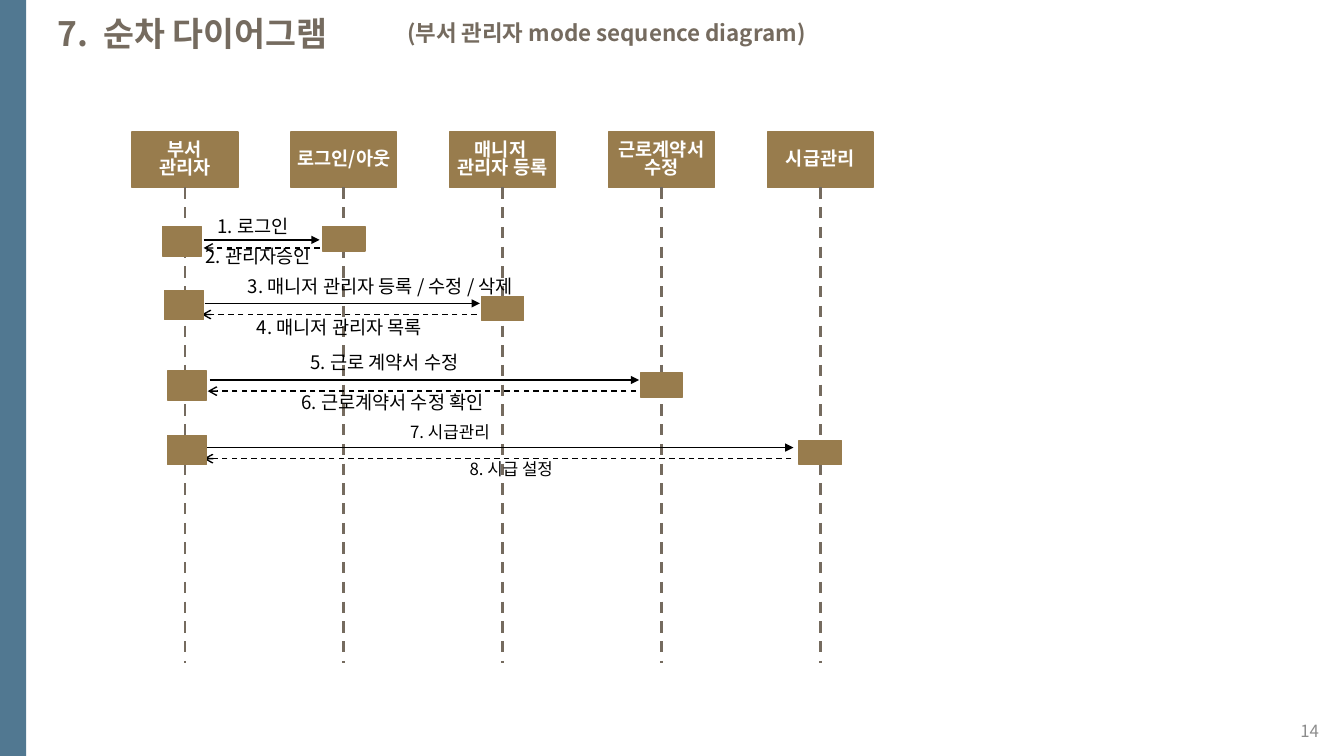
from lxml import etree
from pptx import Presentation
from pptx.dml.color import RGBColor
from pptx.enum import dml, shapes, text
from pptx.oxml import ns
from pptx.util import Inches, Pt

FONT = "Noto Sans CJK KR"
BROWN = RGBColor(0x98, 0x7C, 0x4D)
TAUPE = RGBColor(0x75, 0x6B, 0x5F)
BLUE = RGBColor(0x51, 0x78, 0x91)
GRAY = RGBColor(0x8C, 0x8C, 0x8C)
BLACK = RGBColor(0, 0, 0)
WHITE = RGBColor(0xFF, 0xFF, 0xFF)

PARTICIPANTS = [["부서", "관리자"], ["로그인/아웃"], ["매니저 ", "관리자 등록"],
                ["근로계약서 수정"], ["시급관리"]]
# One exchange per participant after the first:
# sender (left, top), receiver top, call (from x, to x, y), reply (from x, to x, y)
EXCHANGES = [
    ((1.61, 2.25), 2.25, (2.02, 3.17, 2.38), (3.17, 2.02, 2.46)),
    ((1.63, 2.88), 2.94, (2.03, 4.76, 3.01), (4.73, 2.00, 3.12)),
    ((1.66, 3.68), 3.70, (2.08, 6.34, 3.77), (6.31, 2.06, 3.88)),
    ((1.66, 4.32), 4.37, (2.05, 7.87, 4.44), (7.85, 2.02, 4.55)),
]
# text, (left, top, width, height), size
MESSAGES = [
    ("1. 로그인", (2.06, 2.11, 0.97, 0.33), 13.3),
    ("2. 관리자승인", (1.94, 2.41, 1.35, 0.33), 13.3),
    ("3. 매니저 관리자 등록 / 수정 / 삭제", (2.36, 2.7, 3.2, 0.33), 13.3),
    ("4. 매니저 관리자 목록", (2.45, 3.11, 2.11, 0.33), 13.3),
    ("5. 근로 계약서 수정", (2.98, 3.46, 1.85, 0.33), 13.3),
    ("6. 근로계약서 수정 확인", (2.89, 3.85, 2.23, 0.33), 13.3),
    ("7. 시급관리", (3.97, 4.16, 1.12, 0.3), 12),
    ("8. 시급 설정", (4.56, 4.52, 1.12, 0.3), 12),
]
TITLES = [
    ("7.  순차 다이어그램", (0.47, 0.12, 4.28, 0.5), 24),
    ("(부서 관리자 mode sequence diagram)", (3.94, 0.17, 4.41, 0.37), 16),
]
HEADER_LEFT, HEADER_TOP, HEADER_PITCH = 1.31, 1.31, 1.575
HEADER_WIDTH, HEADER_HEIGHT = 1.05, 0.55
LIFELINE_BOTTOM = 6.58
SENDER_SIZE = (0.39, 0.29)
RECEIVER_SIZE = (0.42, 0.24)

presentation = Presentation()
presentation.slide_width, presentation.slide_height = Inches(13.33), Inches(7.5)
slide = presentation.slides.add_slide(presentation.slide_layouts[6])


def write(shape, lines, size, color, bold=False, align=text.PP_ALIGN.LEFT, spacing=0.9):
    frame = shape.text_frame
    frame.text = "\n".join(lines)
    for paragraph in frame.paragraphs:
        paragraph.alignment = align
        paragraph.line_spacing = spacing
        font = paragraph.runs[0].font
        for name, value in {"name": FONT, "size": Pt(size), "bold": bold}.items():
            setattr(font, name, value)
        font.color.rgb = color
        east_asian = etree.SubElement(font._element, ns.qn("a:ea"))
        east_asian.set("typeface", FONT)


def add_text(content, box, size, color, wrap=True, fit=True, **style):
    shape = slide.shapes.add_textbox(*map(Inches, box))
    write(shape, [content], size, color, **style)
    shape.text_frame.word_wrap = wrap
    if fit:
        shape.text_frame.auto_size = text.MSO_AUTO_SIZE.SHAPE_TO_FIT_TEXT
    return shape


def add_box(box, color=BROWN, outlined=True):
    shape = slide.shapes.add_shape(shapes.MSO_SHAPE.RECTANGLE, *map(Inches, box))
    shape.shadow.inherit = False
    shape.fill.solid()
    shape.fill.fore_color.rgb = color
    if outlined:
        shape.line.color.rgb = color
        shape.line.width = Pt(1)
    else:
        shape.line.fill.background()
    return shape


def add_line(start, end, color=BLACK, width=1, dashed=False, arrow=None):
    connector = slide.shapes.add_connector(
        shapes.MSO_CONNECTOR.STRAIGHT, *map(Inches, (*start, *end)))
    connector.line.color.rgb = color
    connector.line.width = Pt(width)
    if dashed:
        connector.line.dash_style = dml.MSO_LINE.DASH
    if arrow:
        tail = etree.SubElement(connector.line._get_or_add_ln(), ns.qn("a:tailEnd"))
        tail.set("type", arrow)
    etree.SubElement(connector._element.spPr, ns.qn("a:effectLst"))
    return connector


add_box((0, 0, 0.26, 7.5), BLUE, outlined=False)
for content, box, size in TITLES:
    add_text(content, box, size, TAUPE, bold=True)

centers = []
for index, lines in enumerate(PARTICIPANTS):
    left = HEADER_LEFT + index * HEADER_PITCH
    center = left + HEADER_WIDTH / 2
    centers.append(center)
    header = add_box((left, HEADER_TOP, HEADER_WIDTH, HEADER_HEIGHT))
    write(header, lines, 13.3, WHITE, bold=True, align=text.PP_ALIGN.CENTER, spacing=0.81)
    frame_format = {"margin_left": 0, "margin_right": 0, "margin_top": 0, "margin_bottom": 0,
                    "word_wrap": True, "vertical_anchor": text.MSO_ANCHOR.MIDDLE}
    for name, value in frame_format.items():
        setattr(header.text_frame, name, value)
    lifeline = add_line((center, HEADER_TOP + HEADER_HEIGHT), (center, LIFELINE_BOTTOM),
                        TAUPE, 2, dashed=True)
    lifeline.begin_connect(header, 2)

for center, (sender, receiver_top, call, reply) in zip(centers[1:], EXCHANGES):
    for (from_x, to_x, y), dashed, arrow in ((call, False, "triangle"), (reply, True, "arrow")):
        add_line((from_x, y), (to_x, y), dashed=dashed, arrow=arrow)
    add_box((*sender, *SENDER_SIZE))
    add_box((center - RECEIVER_SIZE[0] / 2, receiver_top, *RECEIVER_SIZE))

for content, box, size in MESSAGES:
    add_text(content, box, size, BLACK, wrap=False)

number = add_text("14", (10.07, 7.05, 3.11, 0.4), 12, GRAY, fit=False,
                  align=text.PP_ALIGN.RIGHT, spacing=1.0)
number.text_frame.vertical_anchor = text.MSO_ANCHOR.MIDDLE

presentation.save("out.pptx")
